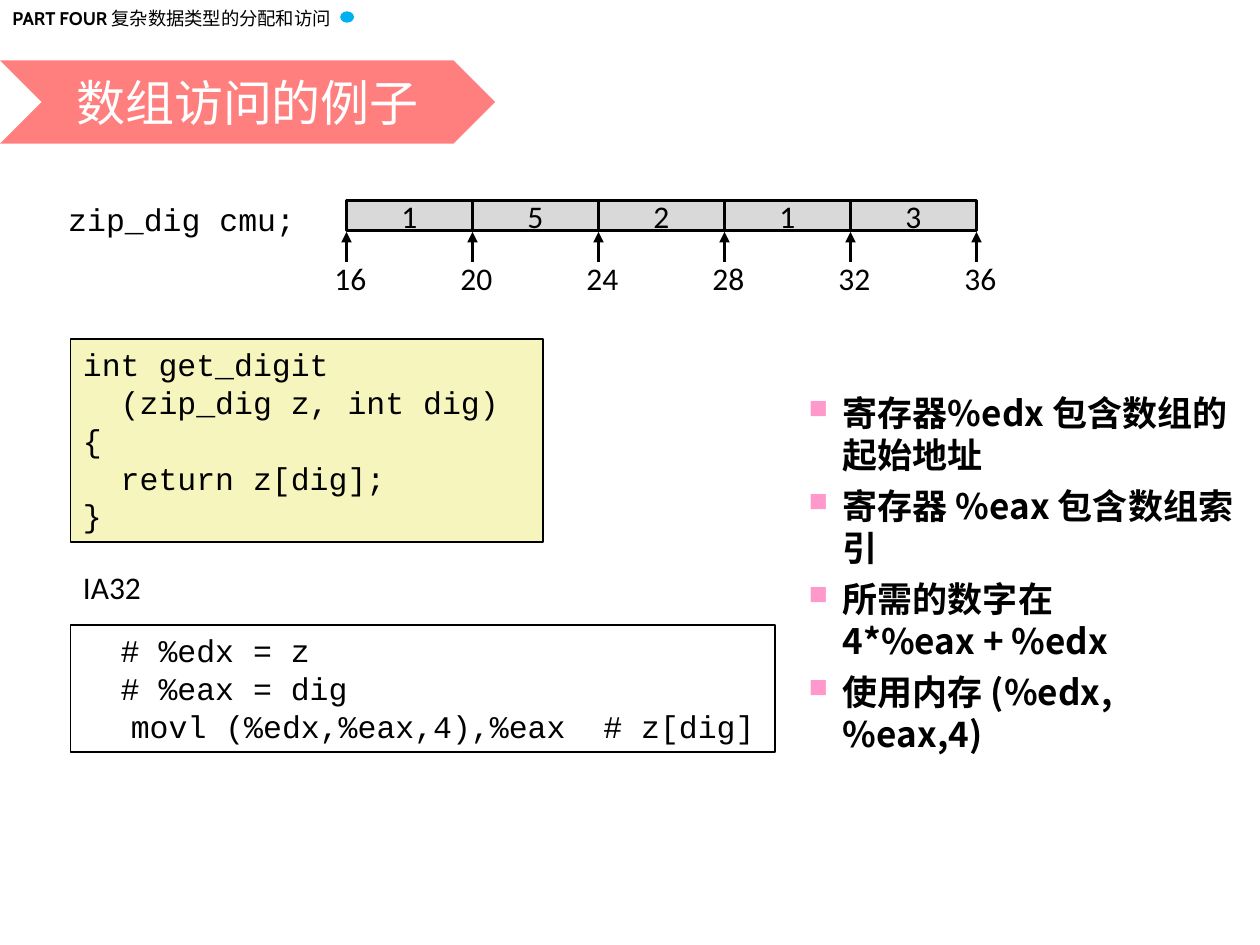
from lxml import etree
from pptx import Presentation
from pptx.dml.color import RGBColor
from pptx.enum.shapes import MSO_CONNECTOR, MSO_SHAPE
from pptx.enum.text import MSO_ANCHOR, MSO_AUTO_SIZE, PP_ALIGN
from pptx.oxml.ns import qn
from pptx.util import Inches, Pt

# Content
TITLE = "数组访问的例子"
HEADER = [("PART FOUR ", True), ("复杂数据类型的分配和访问", False)]
DECLARATION = "zip_dig cmu;"
DIGITS = [1, 5, 2, 1, 3]
START_ADDRESS, INT_SIZE = 16, 4
C_CODE = ["int get_digit", "  (zip_dig z, int dig)", "{", "  return z[dig];", "}"]
ASM_CODE = ["  # %edx = z", "  # %eax = dig", "\tmovl (%edx,%eax,4),%eax  # z[dig]"]
NOTES = [
    "寄存器%edx 包含数组的起始地址",
    "寄存器 %eax 包含数组索引",
    "所需的数字在 \v4*%eax + %edx",
    "使用内存 (%edx,%eax,4)",
]

COLORS = {
    "black": "000000", "white": "FFFFFF", "dot": "00B0F0", "banner": "FF0000",
    "cell": "D9D9D9", "code": "F6F5BD", "bullet": "FF99CC",
}
CJK = "Noto Sans CJK SC"
HEAD = {"size": Pt(10.5), "name": "Cabin"}
BANNER = {"size": Pt(28), "name": "Cabin"}
LABEL = {"size": Pt(18), "name": "Calibri"}
CODE = {"size": Pt(18), "name": "Courier New"}
NOTE = {"size": Pt(20), "name": CJK, "bold": True}


def rgb(name):
    return RGBColor.from_string(COLORS[name])


def add_xml(parent, tag, **attrs):
    return etree.SubElement(parent, qn(tag), attrs)


def style_run(r, fmt, color="black"):
    for key, value in fmt.items():
        setattr(r.font, key, value)
    r.font.color.rgb = rgb(color)
    add_xml(r._r.get_or_add_rPr(), "a:ea", typeface=CJK)


def write(shape, lines, fmt, color="black", align=PP_ALIGN.LEFT,
          anchor=MSO_ANCHOR.TOP, wrap=True):
    tf = shape.text_frame
    tf.word_wrap, tf.vertical_anchor = wrap, anchor
    for i, line in enumerate(lines):
        p = tf.paragraphs[0] if i == 0 else tf.add_paragraph()
        p.text, p.alignment = line, align
        for r in p.runs:
            style_run(r, fmt, color)
    return tf


def add_text(s, box, lines, fmt, **options):
    tb = s.shapes.add_textbox(*map(Inches, box))
    return write(tb, lines, fmt, **options)


def add_box(s, kind, box, fill=None, line_width=None):
    sp = s.shapes.add_shape(kind, *map(Inches, box))
    sp.shadow.inherit = False
    if fill:
        sp.fill.solid()
        sp.fill.fore_color.rgb = rgb(fill)
    else:
        sp.fill.background()
    if line_width:
        sp.line.color.rgb = rgb("black")
        sp.line.width = Pt(line_width)
    else:
        sp.line.fill.background()
    return sp


def add_arrow(s, x, y_from, y_to):
    line = s.shapes.add_connector(
        MSO_CONNECTOR.STRAIGHT, *map(Inches, (x, y_from, x, y_to)))
    line.line.color.rgb = rgb("black")
    line.line.width = Pt(2)
    add_xml(line.line._get_or_add_ln(), "a:tailEnd", type="triangle")
    add_xml(line._element.spPr, "a:effectLst")


def add_header(s):
    tf = add_text(s, (0, 0.01, 2.79, 0.28), [], HEAD, wrap=False)
    tf.auto_size = MSO_AUTO_SIZE.SHAPE_TO_FIT_TEXT
    for text, bold in HEADER:
        r = tf.paragraphs[0].add_run()
        r.text = text
        style_run(r, {**HEAD, "bold": bold})
    add_box(s, MSO_SHAPE.OVAL, (2.7, 0.09, 0.11, 0.09), "dot")

    banner = add_box(s, MSO_SHAPE.CHEVRON, (0, 0.48, 3.93, 0.66), "banner")
    fill = banner._element.spPr.find(qn("a:solidFill"))
    add_xml(fill[0], "a:alpha", val="50000")
    write(banner, [TITLE], BANNER, color="white", align=PP_ALIGN.CENTER,
          anchor=MSO_ANCHOR.MIDDLE)


def add_array(s):
    left, top, cell_w, cell_h = 2.75, 1.59, 1, 0.24
    label_w = 1.08
    add_text(s, (0.33, 1.54, 2.11, 0.4), [DECLARATION], CODE, align=PP_ALIGN.RIGHT)
    for i, digit in enumerate(DIGITS):
        cell = add_box(s, MSO_SHAPE.RECTANGLE,
                       (left + i * cell_w, top, cell_w, cell_h), "cell", 2)
        write(cell, [str(digit)], LABEL, align=PP_ALIGN.CENTER,
              anchor=MSO_ANCHOR.MIDDLE, wrap=False)
    # One address under each cell boundary
    for i in range(len(DIGITS) + 1):
        x = left + i * cell_w
        add_arrow(s, x, 2.08, 1.84)
        add_text(s, (x + 0.03 - label_w / 2, 2.01, label_w, 0.4),
                 [str(START_ADDRESS + i * INT_SIZE)], LABEL, align=PP_ALIGN.CENTER)


def add_code(s):
    c_box = add_box(s, MSO_SHAPE.RECTANGLE, (0.56, 2.69, 3.75, 1.61), "code", 1)
    write(c_box, C_CODE, CODE)
    add_text(s, (0.56, 4.46, 0.83, 0.5), ["IA32"], LABEL, wrap=False)
    asm_box = add_box(s, MSO_SHAPE.RECTANGLE, (0.56, 4.96, 5.59, 1.01), None, 1)
    for p in write(asm_box, ASM_CODE, CODE).paragraphs:
        tabs = add_xml(p._p.get_or_add_pPr(), "a:tabLst")
        for stop in (0.38, 2.88):
            add_xml(tabs, "a:tab", pos=str(Inches(stop)), algn="l")


def add_notes(s):
    tf = add_text(s, (6.15, 3.06, 3.75, 3.26), NOTES, NOTE)
    for i, p in enumerate(tf.paragraphs):
        pPr = p._p.get_or_add_pPr()
        pPr.set("marL", str(Inches(0.44)))
        pPr.set("indent", str(Inches(-0.27)))
        add_xml(add_xml(pPr, "a:buClr"), "a:srgbClr", val=COLORS["bullet"])
        add_xml(pPr, "a:buSzPct", val="75000")
        add_xml(pPr, "a:buChar", char="■")
        p.line_spacing = Pt(24)
        if i:
            p.space_before = Pt(5)


def main():
    prs = Presentation()
    prs.slide_width, prs.slide_height = Inches(10), Inches(7.5)
    s = prs.slides.add_slide(prs.slide_layouts[6])
    add_header(s)
    add_array(s)
    add_code(s)
    add_notes(s)
    prs.save("out.pptx")


if __name__ == "__main__":
    main()
